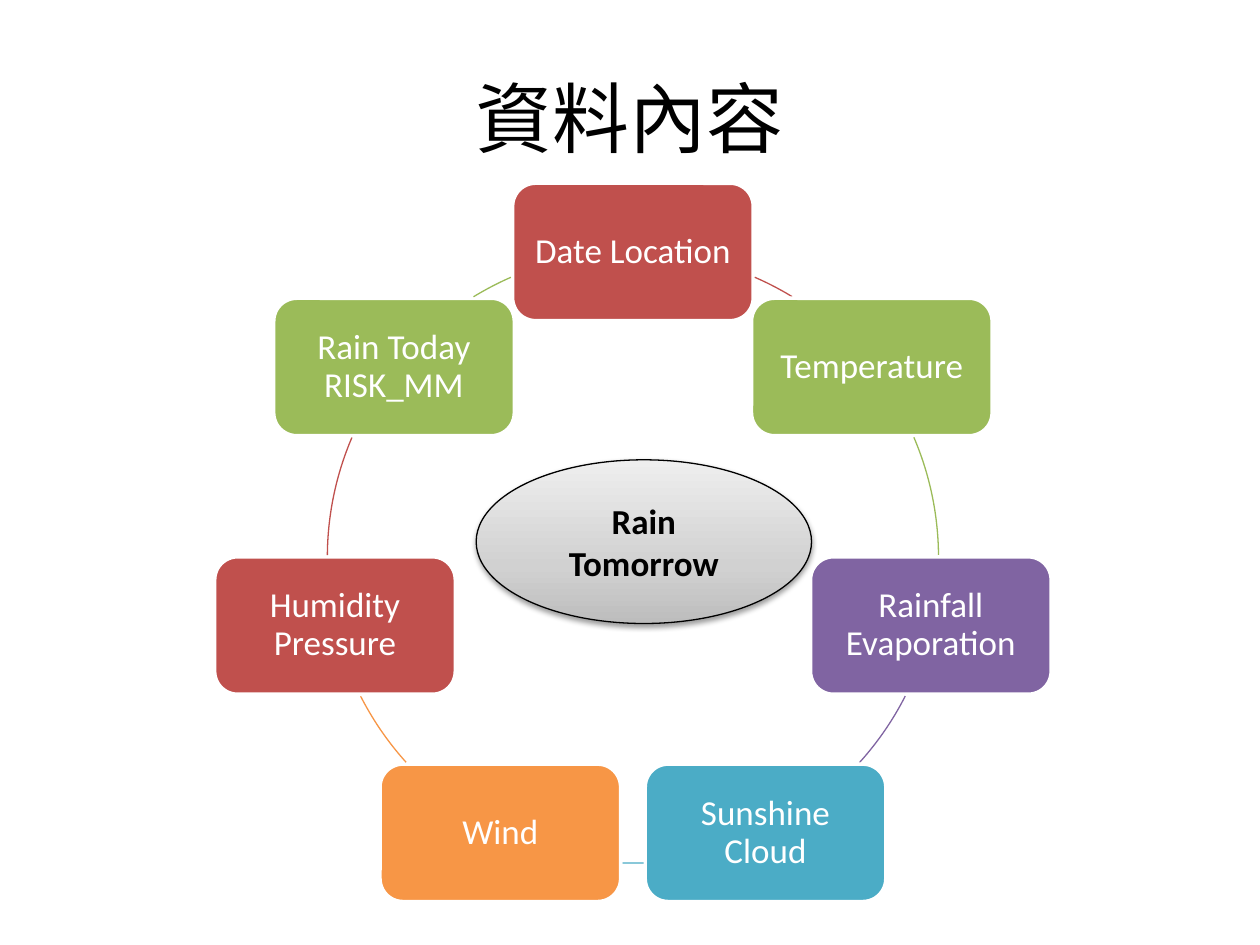
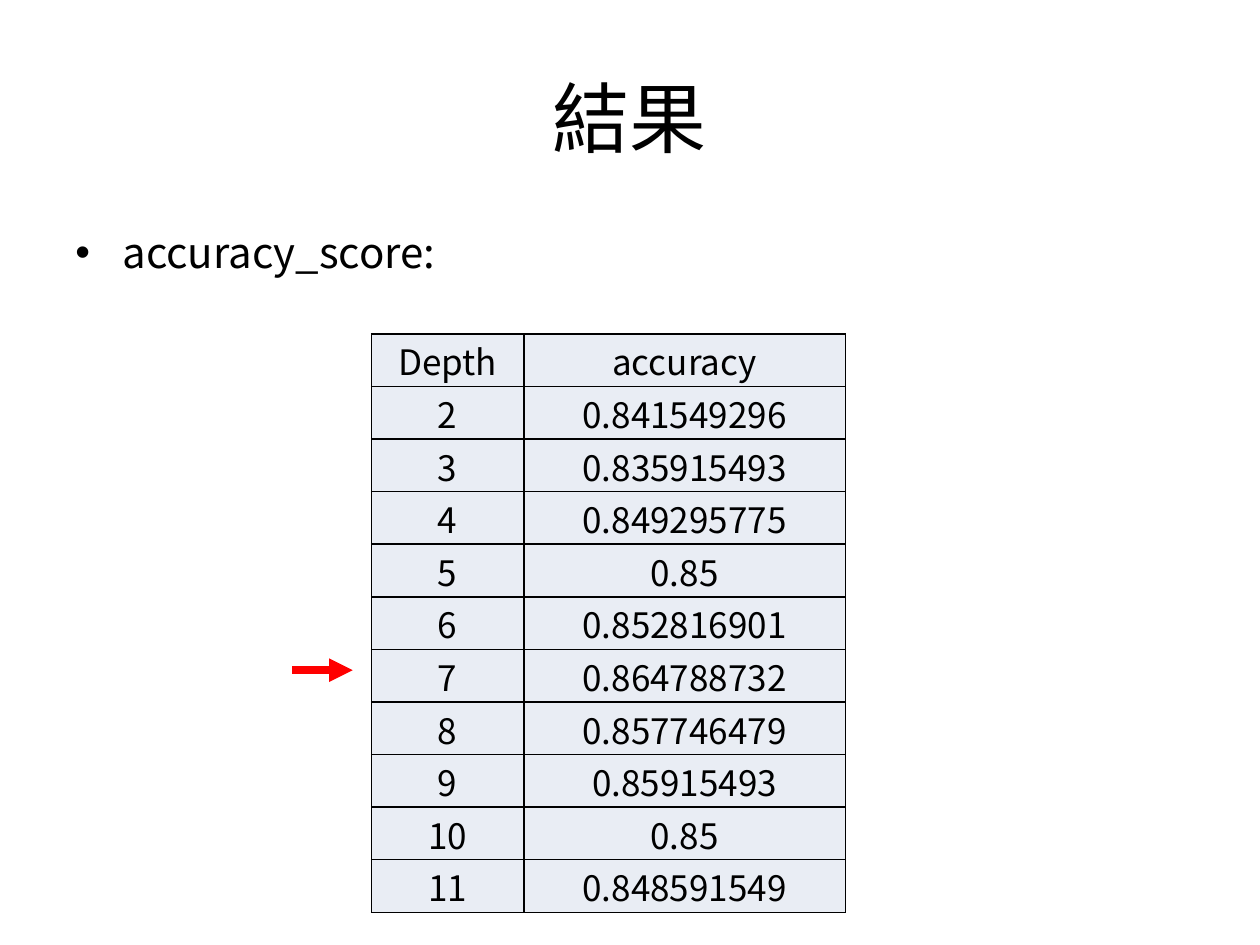
from copy import deepcopy
from dataclasses import dataclass
from math import cos, radians, sin

from lxml.etree import SubElement
from pptx import Presentation
from pptx.dml.color import RGBColor
from pptx.enum.shapes import MSO_CONNECTOR, MSO_SHAPE
from pptx.enum.text import MSO_ANCHOR, PP_ALIGN
from pptx.oxml.ns import qn
from pptx.util import Cm, Pt

LATIN, CJK = "Calibri", "Noto Sans CJK SC"
BLACK, WHITE, RED, PALE = "000000", "FFFFFF", "FF0000", "E9EDF4"
BRICK, GREEN, PURPLE = "C0504D", "9BBB59", "8064A2"
TEAL, ORANGE = "4BACC6", "F79646"
CENTRED = {"alignment": PP_ALIGN.CENTER}


@dataclass
class Topic:
    """One box of the cycle."""
    label: str
    color: str


@dataclass
class Cycle:
    """Circle on which the topic boxes sit, in centimetres."""
    x: float = 12.76
    y: float = 11.24
    radius: float = 6.16
    width: float = 4.85
    height: float = 2.77
    gap: float = 0.03

    def point(self, angle: float) -> tuple[float, float]:
        """Return the point on the circle at a clockwise angle."""
        turn = radians(angle)
        return self.x + self.radius * cos(turn), self.y + self.radius * sin(turn)

    def clear(self, angle: float, node: float) -> bool:
        """Tell whether the circle at angle lies outside the box at node."""
        (x, y), (node_x, node_y) = self.point(angle), self.point(node)
        return (abs(x - node_x) > self.width / 2 + self.gap
                or abs(y - node_y) > self.height / 2 + self.gap)


TOPICS = [
    Topic("Date Location", BRICK),
    Topic("Temperature", GREEN),
    Topic("Rainfall Evaporation", PURPLE),
    Topic("Sunshine Cloud", TEAL),
    Topic("Wind", ORANGE),
    Topic("Humidity Pressure", BRICK),
    Topic("Rain Today RISK_MM", GREEN),
]
ACCURACY = ["0.841549296", "0.835915493", "0.849295775", "0.85", "0.852816901",
            "0.864788732", "0.857746479", "0.85915493", "0.85", "0.848591549"]


def color(code: str) -> RGBColor:
    """Turn a hex string into a colour."""
    return RGBColor.from_string(code)


def apply(target, formats: dict) -> None:
    """Set every attribute of a dict of format values."""
    for name, value in formats.items():
        setattr(target, name, value)


def write(frame, lines: list[str], size: int, face: str, code: str,
          bold: bool = False, layout: dict = CENTRED) -> None:
    """Write one paragraph per line into a text frame."""
    for index, line in enumerate(lines):
        para = frame.add_paragraph() if index else frame.paragraphs[0]
        apply(para, layout)
        span = para.add_run()
        span.text = line
        apply(span.font, {"size": Pt(size), "name": face, "bold": bold})
        span.font.color.rgb = color(code)
        SubElement(span.font._element, qn("a:ea"), typeface=face)


def outline(shape, code: str, width: float) -> None:
    """Give a shape or connector a plain line."""
    shape.line.color.rgb = color(code)
    shape.line.width = Pt(width)


def add_text_box(page, left: float, top: float, width: float, height: float,
                 anchor: MSO_ANCHOR):
    """Add a wrapping text box and return its frame."""
    box = page.shapes.add_textbox(Cm(left), Cm(top), Cm(width), Cm(height))
    apply(box.text_frame, {"word_wrap": True, "vertical_anchor": anchor})
    return box.text_frame


def add_page(deck, title: str):
    """Add a blank slide with the shared title style."""
    page = deck.slides.add_slide(deck.slide_layouts[6])
    frame = add_text_box(page, 1.27, 0.76, 22.86, 3.18, MSO_ANCHOR.MIDDLE)
    write(frame, [title], 44, CJK, BLACK)
    return page


def add_shape(page, kind: MSO_SHAPE, left: float, top: float, width: float,
              height: float):
    """Add a preset shape without shadow."""
    shape = page.shapes.add_shape(kind, Cm(left), Cm(top), Cm(width), Cm(height))
    shape.shadow.inherit = False
    return shape


def add_topic(page, cycle: Cycle, topic: Topic, angle: float) -> None:
    """Draw a topic box centred on the circle."""
    x, y = cycle.point(angle)
    box = add_shape(page, MSO_SHAPE.ROUNDED_RECTANGLE, x - cycle.width / 2,
                    y - cycle.height / 2, cycle.width, cycle.height)
    box.fill.solid()
    box.fill.fore_color.rgb = color(topic.color)
    outline(box, WHITE, 2)
    margins = ("margin_left", "margin_right", "margin_top", "margin_bottom")
    apply(box.text_frame, dict.fromkeys(margins, Cm(0.2)))
    apply(box.text_frame, {"word_wrap": True, "vertical_anchor": MSO_ANCHOR.MIDDLE})
    write(box.text_frame, [topic.label], 20, LATIN, WHITE,
          layout=CENTRED | {"line_spacing": 0.9})


def add_link(page, cycle: Cycle, code: str, start: float, end: float) -> None:
    """Draw the part of the circle that shows between two boxes."""
    steps = (start + step / 10 for step in range(round((end - start) * 10)))
    seen = [angle for angle in steps
            if cycle.clear(angle, start) and cycle.clear(angle, end)]
    arc = add_shape(page, MSO_SHAPE.ARC, cycle.x - cycle.radius,
                    cycle.y - cycle.radius, 2 * cycle.radius, 2 * cycle.radius)
    for index, angle in enumerate((seen[0], seen[-1])):
        arc.adjustments[index] = angle % 360 * 0.6  # 60000 units per degree
    arc.fill.background()
    outline(arc, code, 0.75)


def add_target(page) -> None:
    """Draw the shaded ellipse in the middle of the cycle."""
    oval = add_shape(page, MSO_SHAPE.OVAL, 9.6, 9.27, 6.76, 3.3)
    oval.fill.gradient()
    oval.fill.gradient_angle = 90
    properties = oval._element.spPr
    stops = properties.find(qn("a:gradFill")).find(qn("a:gsLst"))
    stops.insert(1, deepcopy(stops[0]))
    shades = [(0, "BDBDBD"), (0.35, "D1D1D1"), (1, "EEEEEE")]
    for stop, (position, code) in zip(oval.fill.gradient_stops, shades):
        stop.position = position
        stop.color.rgb = color(code)
    outline(oval, BLACK, 0.75)
    shadow = SubElement(properties.find(qn("a:effectLst")), qn("a:outerShdw"),
                        blurRad="40000", dist="20000", dir="5400000", rotWithShape="0")
    tint = SubElement(shadow, qn("a:srgbClr"), val=BLACK)
    SubElement(tint, qn("a:alpha"), val="38000")
    oval.text_frame.vertical_anchor = MSO_ANCHOR.MIDDLE
    write(oval.text_frame, ["Rain", "Tomorrow"], 20, LATIN, BLACK, bold=True)


def add_bullet(page, text: str) -> None:
    """Add the bulleted body text."""
    frame = add_text_box(page, 1.27, 4.45, 22.86, 12.57, MSO_ANCHOR.TOP)
    write(frame, [text], 24, CJK, BLACK, layout={"space_before": Pt(5)})
    properties = frame.paragraphs[0]._p.get_or_add_pPr()
    properties.set("marL", str(Cm(0.95)))
    properties.set("indent", str(-Cm(0.95)))
    SubElement(properties, qn("a:buFont"), typeface="Arial")
    SubElement(properties, qn("a:buChar"), char="•")


def format_cell(cell, text: str) -> None:
    """Fill, frame and write one table cell."""
    apply(cell, {"margin_left": Cm(0.02), "margin_right": Cm(0.02),
                 "margin_top": Cm(0.02), "margin_bottom": 0,
                 "vertical_anchor": MSO_ANCHOR.MIDDLE})
    properties = cell._tc.get_or_add_tcPr()
    for side in ("lnL", "lnR", "lnT", "lnB"):
        border = SubElement(properties, qn(f"a:{side}"), w=str(Pt(1)))
        SubElement(SubElement(border, qn("a:solidFill")), qn("a:srgbClr"), val=BLACK)
    cell.fill.solid()
    cell.fill.fore_color.rgb = color(PALE)
    write(cell.text_frame, [text], 20, CJK, BLACK)


def add_scores(page) -> None:
    """Draw the table of accuracy by depth."""
    rows = [("Depth", "accuracy")]
    rows += [(str(depth), score) for depth, score in enumerate(ACCURACY, start=2)]
    widths, height = (3.07, 6.48), 1.06
    table = page.shapes.add_table(len(rows), len(widths), Cm(7.49), Cm(6.73),
                                  Cm(sum(widths)), Cm(height * len(rows))).table
    apply(table, {"first_row": False, "horz_banding": False})
    for column, width in zip(table.columns, widths):
        column.width = Cm(width)
    for row, texts in zip(table.rows, rows):
        row.height = Cm(height)
        for cell, text in zip(row.cells, texts):
            format_cell(cell, text)


def add_pointer(page) -> None:
    """Draw the red arrow at the best depth."""
    arrow = page.shapes.add_connector(MSO_CONNECTOR.STRAIGHT, Cm(5.89), Cm(13.51),
                                      Cm(7.11), Cm(13.51))
    outline(arrow, RED, 4.5)
    SubElement(arrow.line._get_or_add_ln(), qn("a:tailEnd"), type="triangle")
    SubElement(arrow._element.spPr, qn("a:effectLst"))


def build_contents(deck) -> None:
    """Build the slide with the cycle of data fields."""
    page, cycle = add_page(deck, "資料內容"), Cycle()
    step = 360 / len(TOPICS)
    for index, topic in enumerate(TOPICS):
        angle = index * step - 90
        add_topic(page, cycle, topic, angle)
        add_link(page, cycle, topic.color, angle, angle + step)
    add_target(page)


def build_results(deck) -> None:
    """Build the slide with the accuracy table."""
    page = add_page(deck, "結果")
    add_bullet(page, "accuracy_score:")
    add_scores(page)
    add_pointer(page)


def main() -> None:
    """Build and save the deck."""
    deck = Presentation()
    apply(deck, {"slide_width": Cm(25.4), "slide_height": Cm(19.05)})
    build_contents(deck)
    build_results(deck)
    deck.save("out.pptx")


main()
